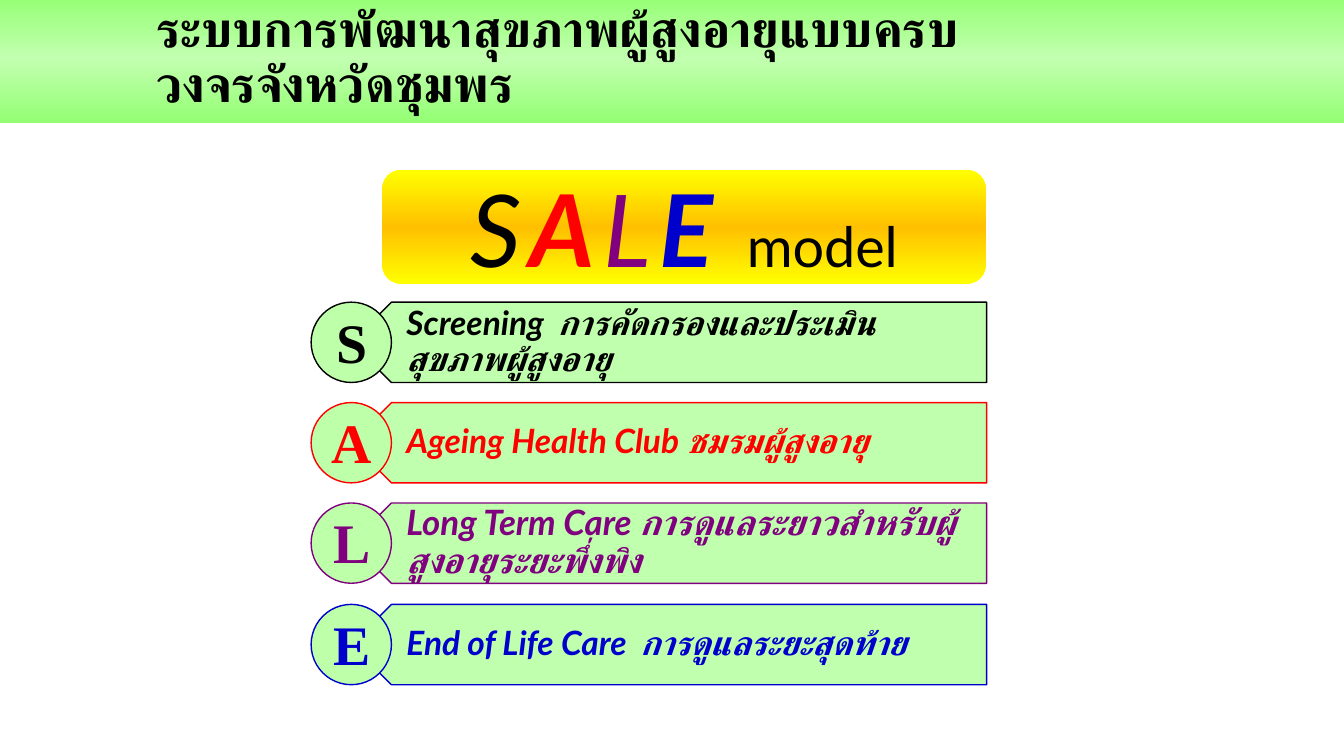
from copy import deepcopy
from pptx import Presentation
from pptx.dml.color import RGBColor
from pptx.enum.shapes import MSO_SHAPE
from pptx.enum.text import MSO_ANCHOR, MSO_AUTO_SIZE, PP_ALIGN
from pptx.util import Pt

PX = 9144  # EMU per px, 100 px to the inch

BLACK = RGBColor(0x00, 0x00, 0x00)
RED = RGBColor(0xFF, 0x00, 0x00)
PURPLE = RGBColor(0x80, 0x00, 0x80)
BLUE = RGBColor(0x00, 0x00, 0xCC)
YELLOW = RGBColor(0xFF, 0xFF, 0x00)
ORANGE = RGBColor(0xFF, 0xC0, 0x00)
GREEN_TOP = RGBColor(0x92, 0xFF, 0x70)
GREEN_MID = RGBColor(0xC2, 0xFF, 0xB0)
GREEN_END = RGBColor(0x93, 0xFF, 0x73)
BAR_GREEN = RGBColor(0xC0, 0xFF, 0xAE)
CIRCLE_GREEN = RGBColor(0xBE, 0xFF, 0xAA)

# letter, letter box width, colour, text size, English, extra gap in pt, Thai
ROWS = [
    ("S", 52, BLACK, 24, "Screening", 4.6, "การคัดกรองและประเมินสุขภาพผู้สูงอายุ"),
    ("A", 61, RED, 24, "Ageing Health Club", 0, "ชมรมผู้สูงอายุ"),
    ("L", 58, PURPLE, 25, "Long Term Care", 0, "การดูแลระยาวสำหรับผู้สูงอายุระยะพึ่งพิง"),
    ("E", 58, BLUE, 24, "End of Life Care", 4.6, "การดูแลระยะสุดท้าย"),
]


def add_run(p, text, spacing=0, **font):
    r = p.add_run()
    r.text = text
    color = font.pop("color", BLACK)
    for name, value in {"name": "Lato", **font}.items():
        setattr(r.font, name, value)
    r.font.color.rgb = color
    if spacing:
        r.font._element.set("spc", str(round(spacing * 100)))


def add_shape(s, kind, box, fill=None, line=None):
    sp = s.shapes.add_shape(kind, *[v * PX for v in box])
    sp.shadow.inherit = False
    if fill:
        sp.fill.solid()
        sp.fill.fore_color.rgb = fill
    if line is None:
        sp.line.fill.background()
    else:
        sp.line.color.rgb = line
        sp.line.width = Pt(1)
    return sp


def set_gradient(sp, colors):
    """Spread the colours evenly from top to bottom."""
    sp.fill.gradient()
    sp.fill.gradient_angle = 270
    first = sp.fill.gradient_stops[0]._gs
    first.addnext(deepcopy(first))
    for i, (stop, color) in enumerate(zip(sp.fill.gradient_stops, colors)):
        stop.color.rgb = color
        stop.position = i / (len(colors) - 1)


def add_text(s, box, insets=(10, 5, 10, 5), wrap=True):
    tf = s.shapes.add_textbox(*[v * PX for v in box]).text_frame
    tf.word_wrap = wrap
    tf.vertical_anchor = MSO_ANCHOR.MIDDLE
    for side, inset in zip(("left", "top", "right", "bottom"), insets):
        setattr(tf, f"margin_{side}", inset * PX)
    return tf


def add_header(s, x, y, w, h):
    band = add_shape(s, MSO_SHAPE.RECTANGLE, (x, y, w, h))
    set_gradient(band, (GREEN_TOP, GREEN_MID, GREEN_END))
    p = add_text(s, (x + 146, y + 25, 863, 81)).paragraphs[0]
    p.line_spacing = 0.9
    add_run(p, "ระบบการพัฒนาสุขภาพผู้สูงอายุแบบครบวงจรจังหวัดชุมพร",
            size=Pt(36), bold=True)


def add_row(s, x, y, w, h, row):
    letter, letter_w, color, size, english, gap, thai = row
    # Bar pointing left, behind the circle
    bar_x = x + h // 2
    bar = add_shape(s, MSO_SHAPE.PENTAGON, (bar_x, y, w - h // 2, h), BAR_GREEN, color)
    bar.rotation = 180
    text_x = bar_x + h // 4
    p = add_text(s, (text_x, y, x + w - text_x, h), (35, 10, 19, 10)).paragraphs[0]
    p.line_spacing = 0.9
    for text, spacing in ((english, 0), (" ", gap), (thai, 0)):
        add_run(p, text, spacing, size=Pt(size), bold=True, italic=True, color=color)
    # Circle with its letter
    add_shape(s, MSO_SHAPE.OVAL, (x, y, h, h), CIRCLE_GREEN, color)
    tf = add_text(s, (x + (h - letter_w) // 2 + 1, y, letter_w, 77), wrap=False)
    tf.auto_size = MSO_AUTO_SIZE.SHAPE_TO_FIT_TEXT
    add_run(tf.paragraphs[0], letter, name="Times New Roman", size=Pt(40),
            bold=True, color=color)


def add_model_title(s, x, y, w, h):
    box = add_shape(s, MSO_SHAPE.ROUNDED_RECTANGLE, (x, y, w, h))
    set_gradient(box, (YELLOW, ORANGE, YELLOW))
    tf = box.text_frame
    tf.word_wrap = True
    tf.vertical_anchor = MSO_ANCHOR.MIDDLE
    p = tf.paragraphs[0]
    p.alignment = PP_ALIGN.CENTER
    for i, (letter, _, color, *_) in enumerate(ROWS):
        add_run(p, letter, 6, size=Pt(72), italic=True, bold=i % 2 == 1, color=color)
    add_run(p, " ", 8, size=Pt(40))
    add_run(p, "model", size=Pt(40))


def main():
    prs = Presentation()
    prs.slide_width, prs.slide_height = 1339 * PX, 750 * PX
    s = prs.slides.add_slide(prs.slide_layouts[6])
    add_header(s, 0, -7, 1340, 130)
    for i, row in enumerate(ROWS):
        add_row(s, 310, 301 + 301 * i // 3, 673, 80, row)
    add_model_title(s, 381, 169, 601, 114)
    prs.save("out.pptx")


if __name__ == "__main__":
    main()
